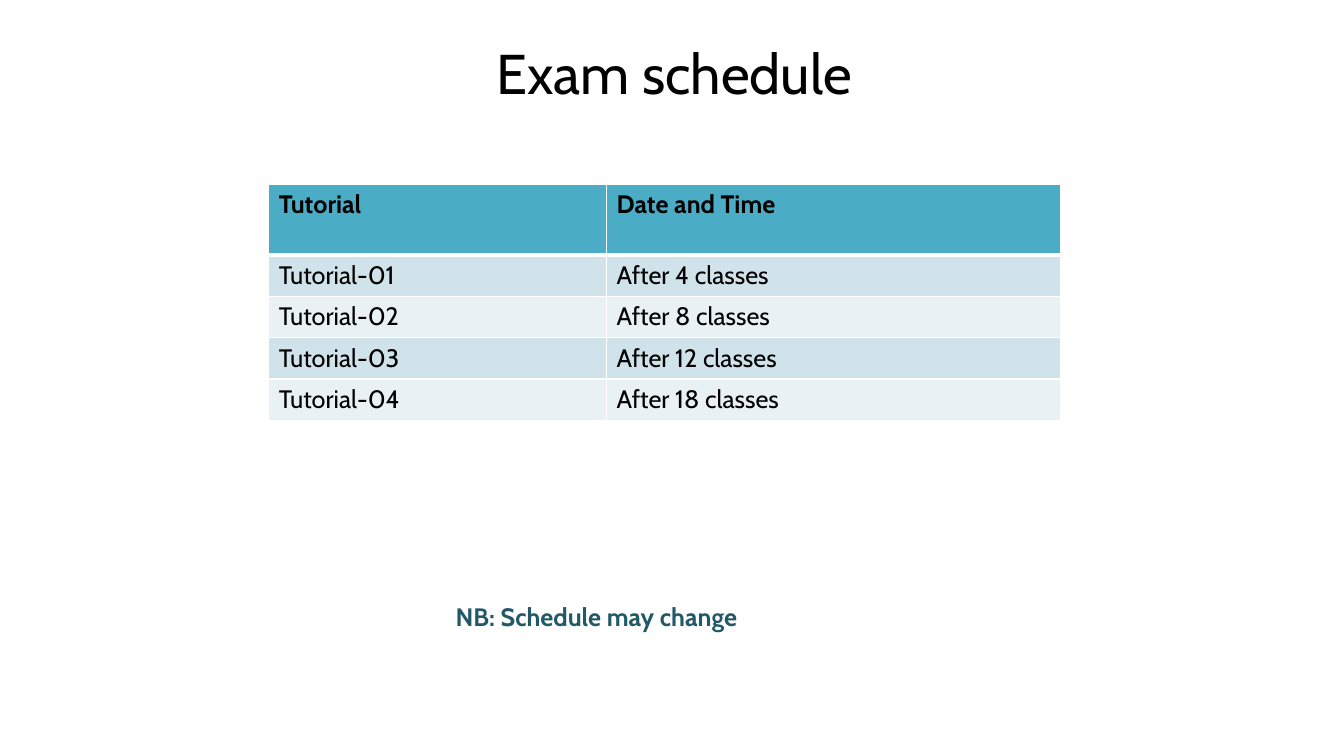
from pptx import Presentation
from pptx.dml.color import RGBColor
from pptx.enum.text import PP_ALIGN
from pptx.oxml import parse_xml
from pptx.oxml.ns import nsdecls
from pptx.util import Inches, Pt

W, H = Inches(13.33), Inches(7.5)
LEFT = 0.2 * W
BODY_ROW = Inches(0.41)
HEADER_ROW = Inches(0.7)
COLS = [Inches(3.35), Inches(4.5)]
BANDS = ["E9F1F5", "D0E3EA"]
SCHEDULE = [
    ("Tutorial", "Date and Time"),
    ("Tutorial-01", "After 4 classes"),
    ("Tutorial-02", "After 8 classes"),
    ("Tutorial-03", "After 12 classes"),
    ("Tutorial-04", "After 18 classes"),
]


def rgb(value):
    return RGBColor.from_string(value)


def write(tf, text, color="000000", align=PP_ALIGN.LEFT, **fmt):
    """Put one formatted line into a text frame; fmt overrides font values."""
    tf.word_wrap = True
    p = tf.paragraphs[0]
    p.alignment = align
    r = p.add_run()
    r.text = text
    r.font.color.rgb = rgb(color)
    for name, value in ({"name": "Cabin", "size": Pt(18), "bold": False} | fmt).items():
        setattr(r.font, name, value)


prs = Presentation()
prs.slide_width, prs.slide_height = W, H
s = prs.slides.add_slide(prs.slide_layouts[6])

title = s.shapes.add_textbox(int(LEFT), int(0.044 * H), Inches(8.04), Inches(1.25))
write(title.text_frame, "Exam schedule", align=PP_ALIGN.CENTER, size=Pt(40))

table = s.shapes.add_table(
    len(SCHEDULE), len(COLS), int(LEFT), int(0.244 * H),
    sum(COLS), HEADER_ROW + BODY_ROW * (len(SCHEDULE) - 1),
).table
for column, width in zip(table.columns, COLS):
    column.width = width

for i, entries in enumerate(SCHEDULE):
    header = i == 0
    table.rows[i].height = HEADER_ROW if header else BODY_ROW
    for j, text in enumerate(entries):
        cell = table.cell(i, j)
        write(cell.text_frame, text, bold=header)
        tcPr = cell._tc.get_or_add_tcPr()
        for side in "LRTB":
            thick = (header and side == "B") or (i == 1 and side == "T")
            tcPr.append(parse_xml(
                f'<a:ln{side} {nsdecls("a")} w="{Pt(3 if thick else 1)}">'
                f'<a:solidFill><a:srgbClr val="FFFFFF"/></a:solidFill></a:ln{side}>'
            ))
        cell.fill.solid()
        cell.fill.fore_color.rgb = rgb("4BACC6" if header else BANDS[i % 2])

note = s.shapes.add_textbox(int(0.3316 * W), int(0.789 * H), Inches(5.25), Inches(0.4))
write(note.text_frame, "NB: Schedule may change", color="215968", bold=True)

prs.save("out.pptx")
